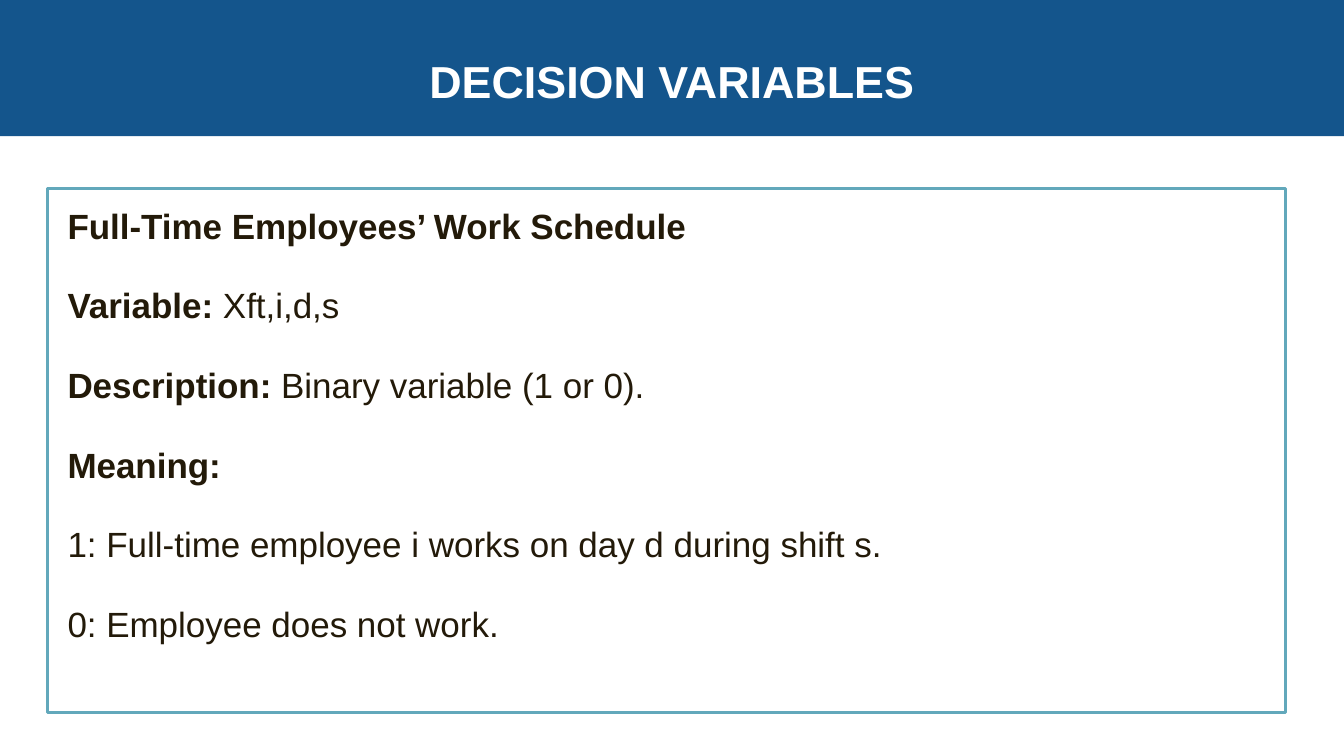
from dataclasses import dataclass

from pptx import Presentation
from pptx.dml.color import RGBColor
from pptx.enum import shapes, text
from pptx.util import Inches, Pt

COLORS = {"banner": "14558C", "title": "FFFFFF", "frame": "62A8BB", "body": "231A09"}
LINE_TOP, LINE_STEP = 2.05, 0.79


@dataclass
class Line:
    label: str = ""
    detail: str = ""


LINES = [
    Line("Full-Time Employees’ Work Schedule"),
    Line("Variable:", " Xft,i,d,s"),
    Line("Description:", " Binary variable (1 or 0)."),
    Line("Meaning:"),
    Line(detail="1: Full-time employee i works on day d during shift s."),
    Line(detail="0: Employee does not work."),
]


def color(name: str) -> RGBColor:
    return RGBColor.from_string(COLORS[name])


def add_rect(slide, left: float, top: float, width: float, height: float):
    sp = slide.shapes.add_shape(shapes.MSO_SHAPE.RECTANGLE, Inches(left), Inches(top),
                                Inches(width), Inches(height))
    sp.shadow.inherit = False
    return sp


def add_line(slide, line: Line, left: float, top: float, width: float, height: float,
             size: float, color_name: str, spacing: float):
    """Add a one-line text box with a bold label and a regular detail."""
    sp = slide.shapes.add_textbox(Inches(left), Inches(top), Inches(width), Inches(height))
    tf = sp.text_frame
    tf.word_wrap = True
    tf.margin_left = tf.margin_top = tf.margin_right = tf.margin_bottom = 0
    p = tf.paragraphs[0]
    p.line_spacing = spacing
    p.font.name = "Arial"
    p.font.size = Pt(size)
    p.font.color.rgb = color(color_name)
    for content, bold in ((line.label, True), (line.detail, False)):
        if content:
            r = p.add_run()
            r.text = content
            r.font.bold = bold
    return p


def main() -> None:
    prs = Presentation()
    prs.slide_width, prs.slide_height = Inches(13.33), Inches(7.5)
    slide = prs.slides.add_slide(prs.slide_layouts[6])

    banner = add_rect(slide, 0, 0, 13.33, 1.35)
    banner.fill.solid()
    banner.fill.fore_color.rgb = color("banner")
    banner.line.fill.background()
    title = add_line(slide, Line("DECISION VARIABLES"), 0, 0.4, 13.33, 0.56,
                     32, "title", 1.25)
    title.alignment = text.PP_ALIGN.CENTER

    frame = add_rect(slide, 0.47, 1.87, 12.28, 5.2)
    frame.fill.background()
    frame.line.color.rgb = color("frame")
    frame.line.width = Pt(2)
    for i, line in enumerate(LINES):
        add_line(slide, line, 0.67, LINE_TOP + i * LINE_STEP, 11.6, 0.46,
                 25, "body", 0.97)

    prs.save("out.pptx")


if __name__ == "__main__":
    main()
